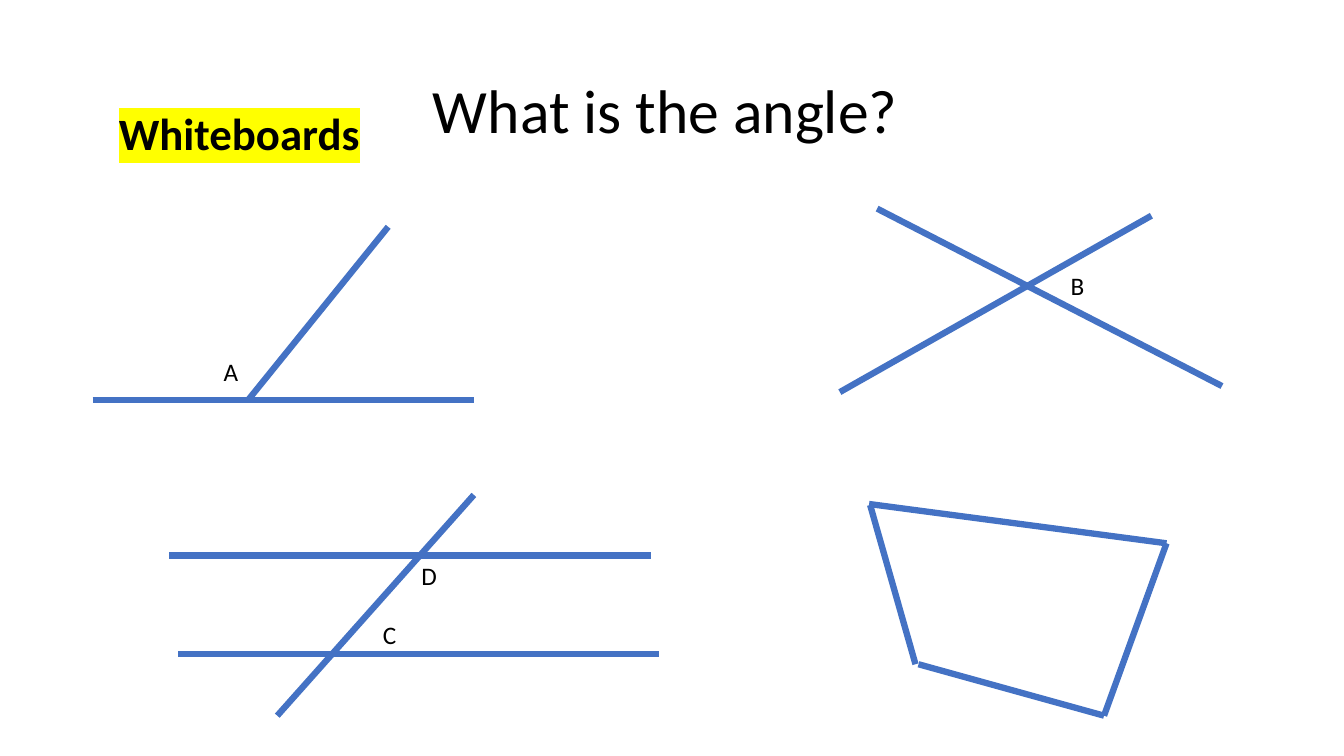
from lxml import etree
from pptx import Presentation
from pptx import util as u
from pptx.dml.color import RGBColor
from pptx.enum import shapes, text
from pptx.oxml.ns import qn

BLACK = RGBColor(0x00, 0x00, 0x00)
BLUE = RGBColor(0x44, 0x72, 0xC4)
YELLOW = RGBColor(0xFF, 0xFF, 0x00)


class AngleSlide:
    font_name = "Calibri"
    line_width = u.Pt(4.5)

    def __init__(self, presentation):
        self.slide = presentation.slides.add_slide(presentation.slide_layouts[6])

    def line(self, start, end):
        points = [u.Inches(value) for value in (*start, *end)]
        connector = self.slide.shapes.add_connector(shapes.MSO_CONNECTOR.STRAIGHT, *points)
        connector.line.color.rgb = BLUE
        connector.line.width = self.line_width
        properties = connector._element.find(qn("p:spPr"))
        etree.SubElement(properties, qn("a:effectLst"))

    def style_run(self, run, size, bold=False):
        run.font.size = u.Pt(size)
        run.font.bold = bold
        run.font.color.rgb = BLACK
        run.font.name = self.font_name

    def text_box(self, content, left, top, width, height, size, bold=False):
        box = self.slide.shapes.add_textbox(*map(u.Inches, (left, top, width, height)))
        frame = box.text_frame
        frame.word_wrap = True
        frame.text = content
        self.style_run(frame.paragraphs[0].runs[0], size, bold)
        return frame

    def heading(self, content, left, top, size, alignment, bold=False):
        frame = self.text_box(content, left, top, 11.5, 1.45, size, bold)
        frame.vertical_anchor = text.MSO_ANCHOR.MIDDLE
        paragraph = frame.paragraphs[0]
        paragraph.alignment = alignment
        paragraph.line_spacing = 0.9
        return paragraph

    def label(self, letter, left, top):
        frame = self.text_box(letter, left, top, 1.25, 0.4, 18)
        frame.auto_size = text.MSO_AUTO_SIZE.SHAPE_TO_FIT_TEXT

    def highlight(self, run, color):
        marker = etree.Element(qn("a:highlight"))
        etree.SubElement(marker, qn("a:srgbClr")).set("val", str(color))
        run._r.rPr.find(qn("a:solidFill")).addnext(marker)


def main():
    presentation = Presentation()
    presentation.slide_width = u.Inches(13.33)
    presentation.slide_height = u.Inches(7.5)
    angles = AngleSlide(presentation)

    # Title
    angles.heading("What is the angle? ", 0.92, 0.4, 44, text.PP_ALIGN.CENTER)

    # Angle on a line, crossing lines, parallel lines with a transversal
    for start, end in [
        ((0.92, 3.97), (4.7, 3.97)),
        ((2.46, 3.97), (3.85, 2.25)),
        ((8.7, 2.07), (12.12, 3.83)),
        ((8.33, 3.89), (11.42, 2.14)),
        ((1.77, 6.49), (6.54, 6.49)),
        ((1.68, 5.51), (6.46, 5.51)),
        ((2.75, 7.1), (4.7, 4.91)),
    ]:
        angles.line(start, end)

    # Angle letters
    for letter, left, top in [
        ("A", 2.12, 3.49),
        ("B", 10.52, 2.63),
        ("C", 3.7, 6.09),
        ("D", 4.08, 5.51),
    ]:
        angles.label(letter, left, top)

    # Quadrilateral
    for start, end in [
        ((8.62, 5), (11.57, 5.39)),
        ((8.63, 5.01), (9.08, 6.59)),
        ((9.11, 6.59), (10.95, 7.1)),
        ((10.95, 7.1), (11.57, 5.39)),
    ]:
        angles.line(start, end)

    # Highlighted activity; the larger closing space sets the line height
    activity = angles.heading("Whiteboards", 1.08, 0.57, 32, text.PP_ALIGN.LEFT, bold=True)
    angles.highlight(activity.runs[0], YELLOW)
    closing_space = activity.add_run()
    closing_space.text = " "
    angles.style_run(closing_space, 44)

    presentation.save("out.pptx")


if __name__ == "__main__":
    main()
